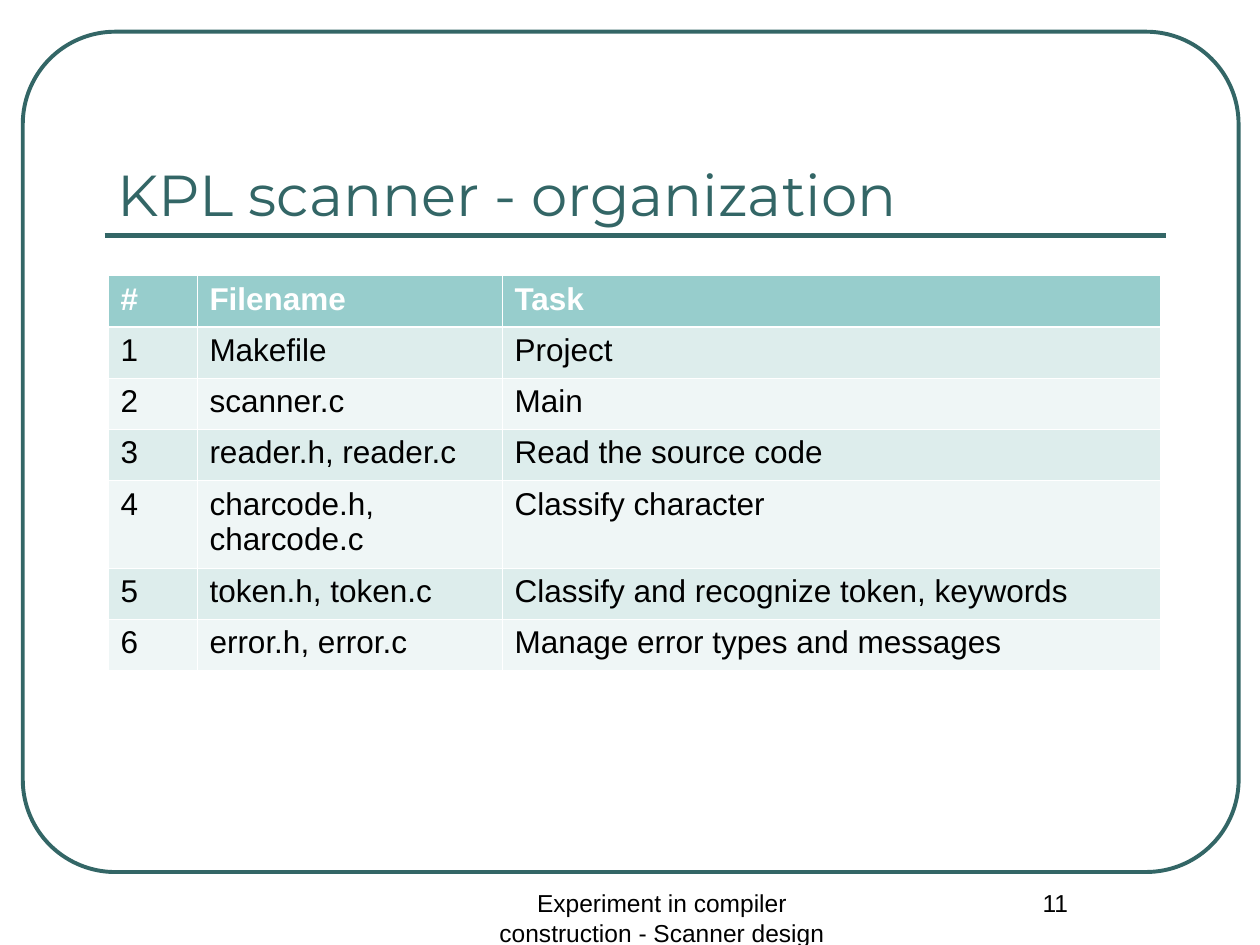
from dataclasses import dataclass

from lxml.etree import SubElement
from pptx import Presentation
from pptx.dml.color import RGBColor
from pptx.enum.shapes import MSO_CONNECTOR, MSO_SHAPE
from pptx.enum.text import MSO_ANCHOR, PP_ALIGN
from pptx.oxml.ns import qn
from pptx.util import Cm, Pt

TEAL = RGBColor(0x33, 0x66, 0x66)
HEADER = RGBColor(0x97, 0xCD, 0xCC)
BAND_DARK = RGBColor(0xDD, 0xED, 0xEC)
BAND_LIGHT = RGBColor(0xEF, 0xF6, 0xF6)
WHITE = RGBColor(0xFF, 0xFF, 0xFF)
BLACK = RGBColor(0, 0, 0)


@dataclass
class Box:
    """Place and size in centimetres."""
    left: float
    top: float
    width: float
    height: float

    def lengths(self) -> tuple:
        return Cm(self.left), Cm(self.top), Cm(self.width), Cm(self.height)


@dataclass
class FooterItem:
    text: str
    box: Box


@dataclass
class FileRow:
    number: str
    filename: str
    task: str
    height: float = 1.03

    def texts(self) -> tuple:
        return self.number, self.filename, self.task


FOOTER = [
    FooterItem("Experiment in compiler construction - Scanner design",
               Box(9.32, 17.78, 8.05, 1.27)),
    FooterItem("11", Box(19.05, 17.78, 4.45, 1.27)),
]
ROWS = [
    FileRow("#", "Filename", "Task"),
    FileRow("1", "Makefile", "Project"),
    FileRow("2", "scanner.c", "Main"),
    FileRow("3", "reader.h, reader.c", "Read the source code"),
    FileRow("4", "charcode.h, charcode.c", "Classify character", 1.77),
    FileRow("5", "token.h, token.c", "Classify and recognize token, keywords"),
    FileRow("6", "error.h, error.c", "Manage error types and messages"),
]
COLUMN_WIDTHS = [1.79, 6.15, 13.28]


def write(tf, text: str, color: RGBColor, size: float, name: str = "Arial",
          bold: bool = False, align=PP_ALIGN.LEFT) -> None:
    p = tf.paragraphs[0]
    p.alignment = align
    r = p.add_run()
    r.text = text
    for key, value in {"name": name, "size": Pt(size), "bold": bold}.items():
        setattr(r.font, key, value)
    r.font.color.rgb = color


def add_frame(slide) -> None:
    frame = slide.shapes.add_shape(MSO_SHAPE.ROUNDED_RECTANGLE,
                                   *Box(0.46, 0.64, 24.51, 16.94).lengths())
    frame.adjustments[0] = 0.11
    frame.shadow.inherit = False
    frame.fill.background()
    frame.line.color.rgb = TEAL
    frame.line.width = Pt(2.25)

    rule = slide.shapes.add_connector(MSO_CONNECTOR.STRAIGHT, Cm(2.11), Cm(4.75),
                                      Cm(23.5), Cm(4.75))
    rule.line.color.rgb = TEAL
    rule.line.width = Pt(3)
    SubElement(rule.element.spPr, qn("a:effectLst"))


def add_footer(slide, item: FooterItem) -> None:
    tf = slide.shapes.add_textbox(*item.box.lengths()).text_frame
    tf.word_wrap = True
    write(tf, item.text, BLACK, 14, align=PP_ALIGN.CENTER)


def place_title(slide, text: str) -> None:
    sp = slide.shapes.title
    sp.left, sp.top, sp.width, sp.height = Box(2.11, 1.47, 21.39, 3.18).lengths()
    tf = sp.text_frame
    tf.vertical_anchor = MSO_ANCHOR.BOTTOM
    tf.margin_bottom = Cm(0.05)
    write(tf, text, TEAL, 33, "Montserrat")
    # Bring the title in front of the frame
    slide.shapes.element.append(sp.element)


def set_borders(cell, widths: dict) -> None:
    tc_pr = cell._tc.get_or_add_tcPr()
    for position, (side, width) in enumerate(widths.items()):
        ln = tc_pr.makeelement(qn(f"a:{side}"), {"w": str(int(Pt(width)))})
        fill = SubElement(ln, qn("a:solidFill"))
        SubElement(fill, qn("a:srgbClr"), val=str(WHITE))
        tc_pr.insert(position, ln)


def add_file_table(slide) -> None:
    box = Box(2.18, 5.56, sum(COLUMN_WIDTHS), sum(row.height for row in ROWS))
    table = slide.shapes.add_table(len(ROWS), len(COLUMN_WIDTHS),
                                   *box.lengths()).table
    for column, width in zip(table.columns, COLUMN_WIDTHS):
        column.width = Cm(width)
    for i, row in enumerate(ROWS):
        table.rows[i].height = Cm(row.height)
        header = i == 0
        fill = HEADER if header else BAND_DARK if i % 2 else BAND_LIGHT
        # The heavier line runs between the header and the first row
        borders = {"lnL": 0.45, "lnR": 0.45, "lnT": 1.47 if i == 1 else 0.45,
                   "lnB": 1.47 if header else 0.45}
        for j, text in enumerate(row.texts()):
            cell = table.cell(i, j)
            cell.fill.solid()
            cell.fill.fore_color.rgb = fill
            set_borders(cell, borders)
            write(cell.text_frame, text, WHITE if header else BLACK, 18, bold=header)


def main() -> None:
    prs = Presentation()
    prs.slide_width, prs.slide_height = Cm(25.4), Cm(19.05)
    slide = prs.slides.add_slide(prs.slide_layouts[5])

    add_frame(slide)
    for item in FOOTER:
        add_footer(slide, item)
    place_title(slide, "KPL scanner - organization")
    add_file_table(slide)
    prs.save("out.pptx")


if __name__ == "__main__":
    main()
